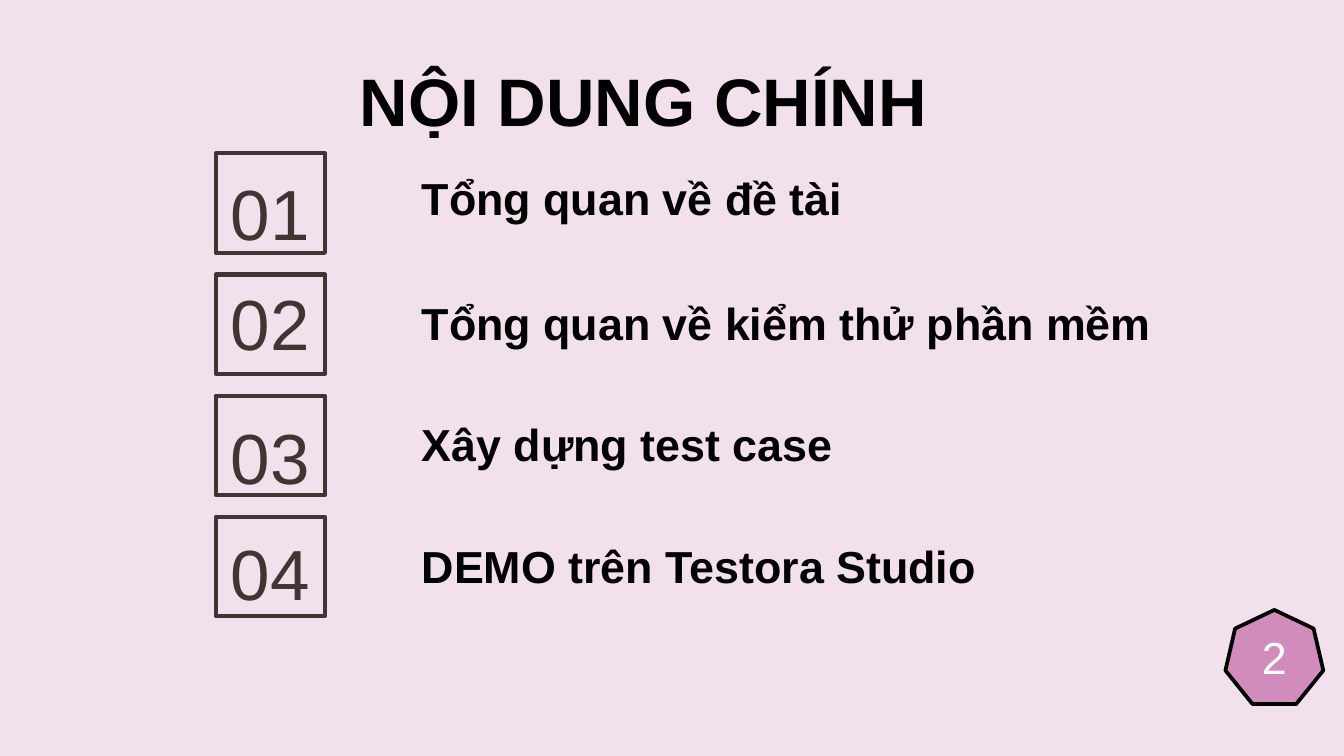
"""Build the agenda slide with four numbered topics."""
from dataclasses import dataclass

from lxml import etree
from pptx import Presentation
from pptx.dml.color import RGBColor
from pptx.enum.shapes import MSO_SHAPE
from pptx.enum.text import MSO_ANCHOR, PP_ALIGN
from pptx.oxml.ns import qn
from pptx.util import Cm, Pt

RECTANGLE, HEPTAGON = MSO_SHAPE.RECTANGLE, MSO_SHAPE.HEPTAGON
TOP, MIDDLE = MSO_ANCHOR.TOP, MSO_ANCHOR.MIDDLE
LEFT, CENTER = PP_ALIGN.LEFT, PP_ALIGN.CENTER

FONT = "Arial"
PINK, ORCHID = "F3E0ED", "D28CBC"
BLACK, BROWN, WHITE = "000000", "3F3533", "FFFFFF"
FIRST_FRAME_TOP, FRAME_STEP = 2.9, 2.29


@dataclass(frozen=True)
class Area:
    left: float
    top: float
    width: float
    height: float

    def lengths(self) -> tuple:
        return Cm(self.left), Cm(self.top), Cm(self.width), Cm(self.height)


@dataclass(frozen=True)
class TextStyle:
    size: int
    color: str = BLACK
    bold: bool = False
    align: int = LEFT


@dataclass(frozen=True)
class Topic:
    label: str
    number_top: float
    label_top: float
    label_width: float
    label_height: float


TITLE = TextStyle(36, bold=True)
LABEL = TextStyle(24, bold=True)
NUMBER = TextStyle(38, BROWN, align=CENTER)
PAGE_NUMBER = TextStyle(24, WHITE, align=CENTER)

TOPICS = [
    Topic("Tổng quan về đề tài", 2.82, 2.9, 9.12, 1.88),
    Topic("Tổng quan về kiểm thử phần mềm", 4.9, 5.26, 15.09, 2.39),
    Topic("Xây dựng test case", 7.44, 7.54, 10.41, 1.83),
    Topic("DEMO trên Testora Studio", 9.63, 9.86, 14.27, 1.73),
]


def color(value: str) -> RGBColor:
    return RGBColor.from_string(value)


def write(frame, text: str, style: TextStyle) -> None:
    paragraph = frame.paragraphs[0]
    paragraph.text = text
    paragraph.alignment = style.align
    font = paragraph.font
    font.name, font.size, font.bold = FONT, Pt(style.size), style.bold
    font.color.rgb = color(style.color)


def add_text(page, area: Area, text: str, style: TextStyle) -> None:
    frame = page.shapes.add_textbox(*area.lengths()).text_frame
    frame.word_wrap = True
    frame.vertical_anchor = TOP
    frame.margin_left = frame.margin_right = frame.margin_bottom = Cm(0.25)
    frame.margin_top = Cm(0.25 + style.size / 300)
    write(frame, text, style)


def add_outlined(page, kind, area: Area, fill: str, line: str, weight: float):
    shape = page.shapes.add_shape(kind, *area.lengths())
    shape.shadow.inherit = False
    shape.fill.solid()
    shape.fill.fore_color.rgb = color(fill)
    shape.line.color.rgb = color(line)
    shape.line.width = Pt(weight)
    etree.SubElement(shape.element.spPr.find(qn("a:ln")), qn("a:round"))
    return shape


def add_topic(page, index: int, topic: Topic) -> None:
    frame_top = FIRST_FRAME_TOP + index * FRAME_STEP
    add_outlined(page, RECTANGLE, Area(4.08, frame_top, 2.06, 1.88), PINK, BROWN, 2.25)
    add_text(page, Area(3.66, topic.number_top, 2.9, 1.85), f"{index + 1:02}", NUMBER)
    label_area = Area(7.72, topic.label_top, topic.label_width, topic.label_height)
    add_text(page, label_area, topic.label, LABEL)


def add_page_number(page) -> None:
    badge = add_outlined(page, HEPTAGON, Area(23.16, 11.53, 1.85, 1.78), ORCHID, BLACK, 2)
    frame = badge.text_frame
    frame.word_wrap = False
    frame.vertical_anchor = MIDDLE
    write(frame, "2", PAGE_NUMBER)


def main() -> None:
    deck = Presentation()
    deck.slide_width, deck.slide_height = Cm(25.4), Cm(14.29)
    page = deck.slides.add_slide(deck.slide_layouts[6])
    page.background.fill.solid()
    page.background.fill.fore_color.rgb = color(PINK)
    add_text(page, Area(6.55, 0.76, 12.32, 1.6), "NỘI DUNG CHÍNH", TITLE)
    for index, topic in enumerate(TOPICS):
        add_topic(page, index, topic)
    add_page_number(page)
    deck.save("out.pptx")


if __name__ == "__main__":
    main()
